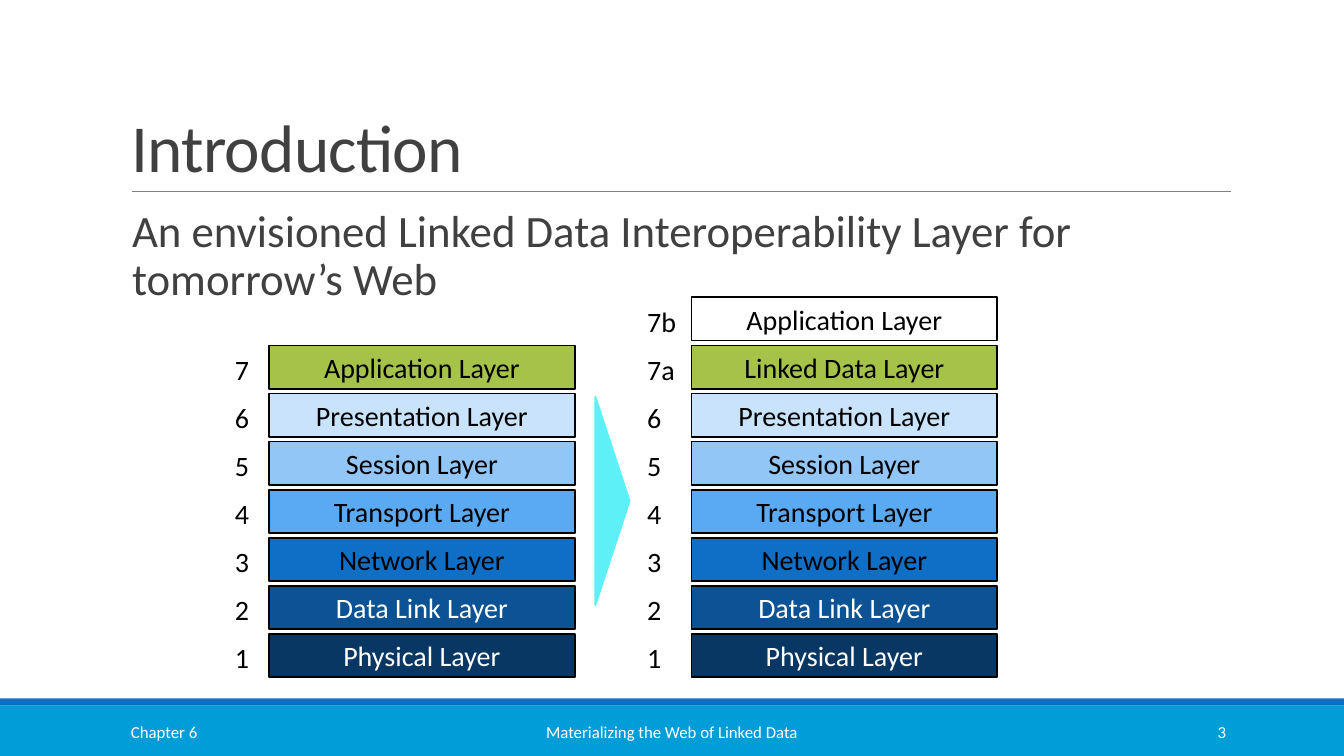
from lxml import etree
from pptx import Presentation
from pptx import util as u
from pptx.dml.color import RGBColor
from pptx.enum import shapes, text
from pptx.oxml import ns

WHITE = RGBColor(0xFF, 0xFF, 0xFF)
BLACK = RGBColor(0, 0, 0)
INK = RGBColor(0x40, 0x40, 0x40)
GRAY = RGBColor(0x80, 0x80, 0x80)
SKY = RGBColor(0x00, 0x9D, 0xD9)
BLUE = RGBColor(0x0F, 0x6F, 0xC6)
NAVY = RGBColor(0x08, 0x37, 0x63)
DEEP = RGBColor(0x0B, 0x53, 0x94)
MID = RGBColor(0x59, 0xAA, 0xF2)
LIGHT = RGBColor(0x91, 0xC6, 0xF7)
PALE = RGBColor(0xC8, 0xE3, 0xFB)
GREEN = RGBColor(0xA5, 0xC2, 0x49)
CYAN = RGBColor(0x5E, 0xF0, 0xF7)

LEFT, CENTER, RIGHT = text.PP_ALIGN.LEFT, text.PP_ALIGN.CENTER, text.PP_ALIGN.RIGHT
TOP, MIDDLE, BOTTOM = text.MSO_ANCHOR.TOP, text.MSO_ANCHOR.MIDDLE, text.MSO_ANCHOR.BOTTOM

TITLE = "Introduction"
BODY = "An envisioned Linked Data Interoperability Layer for tomorrow’s Web"
# text, left, width, alignment
FOOTER = [
    ("Chapter 6", 1.2, 2.7, LEFT),
    ("Materializing the Web of Linked Data", 4.03, 5.27, CENTER),
    ("3", 10.83, 1.43, RIGHT),
]
# number, name, fill, text colour; from the bottom up
SHARED = [
    ("1", "Physical Layer", NAVY, WHITE),
    ("2", "Data Link Layer", DEEP, WHITE),
    ("3", "Network Layer", BLUE, BLACK),
    ("4", "Transport Layer", MID, BLACK),
    ("5", "Session Layer", LIGHT, BLACK),
    ("6", "Presentation Layer", PALE, BLACK),
]
TODAY = SHARED + [("7", "Application Layer", GREEN, BLACK)]
FUTURE = SHARED + [
    ("7a", "Linked Data Layer", GREEN, BLACK),
    ("7b", "Application Layer", None, BLACK),
]
# layers, left of numbers, left of boxes
STACKS = [(TODAY, 2.23, 2.67), (FUTURE, 6.32, 6.86)]
BASE, PEAK = 6.29, 2.95
PITCH = (BASE - PEAK) / (len(FUTURE) - 1)

deck = Presentation()
deck.slide_width, deck.slide_height = u.Inches(13.33), u.Inches(7.5)
slide = deck.slides.add_slide(deck.slide_layouts[1])
parts = slide.shapes


def write(shape, words, size=20, color=BLACK, align=LEFT, anchor=TOP, fit=text.MSO_AUTO_SIZE.NONE):
    """Set and format the one paragraph of a shape; return the paragraph."""
    frame = shape.text_frame
    frame.word_wrap, frame.auto_size, frame.vertical_anchor = True, fit, anchor
    para = frame.paragraphs[0]
    para.alignment = align
    run = para.add_run()
    run.text = words
    run.font.name, run.font.size = "Calibri", u.Pt(size)
    run.font.color.rgb = color
    return para


def block(kind, box, fill=None, line=None):
    """Add a preset shape without shadow."""
    shape = parts.add_shape(kind, *map(u.Inches, box))
    shape.shadow.inherit = False
    if fill is None:
        shape.fill.background()
    else:
        shape.fill.solid()
        shape.fill.fore_color.rgb = fill
    if line is None:
        shape.line.fill.background()
    else:
        shape.line.color.rgb = line
        shape.line.width = u.Pt(1.25)
    return shape


def label(words, box, **form):
    return write(parts.add_textbox(*map(u.Inches, box)), words, **form)


def place(shape, box):
    shape.left, shape.top, shape.width, shape.height = map(u.Inches, box)


def add_bands():
    rect = shapes.MSO_SHAPE.RECTANGLE
    block(rect, (0, 7, 13.33, 0.5), SKY)
    block(rect, (0, 6.93, 13.33, 0.07), BLUE)
    rule = parts.add_connector(shapes.MSO_CONNECTOR.STRAIGHT, *map(u.Inches, (1.31, 1.9, 12.21, 1.9)))
    rule.line.color.rgb, rule.line.width = GRAY, u.Pt(0.5)
    etree.SubElement(rule.element.spPr, ns.qn("a:effectLst"))
    for words, left, width, align in FOOTER:
        label(words, (left, 7.06, width, 0.4), size=12, color=WHITE, align=align, anchor=MIDDLE)


def add_heads():
    title, body = parts.title, slide.placeholders[1]
    place(title, (1.2, 0.31, 11, 1.59))
    para = write(title, TITLE, size=48, color=INK, anchor=BOTTOM)
    para.line_spacing = 0.85
    para.runs[0].font._element.set("spc", "-50")

    place(body, (1.31, 2.02, 10.89, 4.4))
    body.text_frame.margin_left = body.text_frame.margin_right = 0
    para = write(body, BODY, size=32, color=INK)
    para.line_spacing, para.space_before, para.space_after = 0.9, u.Pt(12), u.Pt(2)
    props = para._p.get_or_add_pPr()
    props.set("marL", str(u.Inches(0)))
    props.set("indent", str(u.Inches(0)))
    etree.SubElement(props, ns.qn("a:buNone"))


def add_stack(layers, side, left):
    for step, (number, name, fill, color) in enumerate(layers):
        top = BASE - step * PITCH
        box = block(shapes.MSO_SHAPE.RECTANGLE, (left, top, 3.03, 0.43), fill, BLACK)
        write(box, name, color=color, align=CENTER, anchor=MIDDLE)
        label(number, (side, top + 0.02, 0.49, 0.44), fit=text.MSO_AUTO_SIZE.SHAPE_TO_FIT_TEXT)


add_bands()
add_heads()
for stack in STACKS:
    add_stack(*stack)
arrow = block(shapes.MSO_SHAPE.ISOSCELES_TRIANGLE, (5.04, 4.8, 2.07, 0.34), CYAN, CYAN)
arrow.rotation = 90
deck.save("out.pptx")
